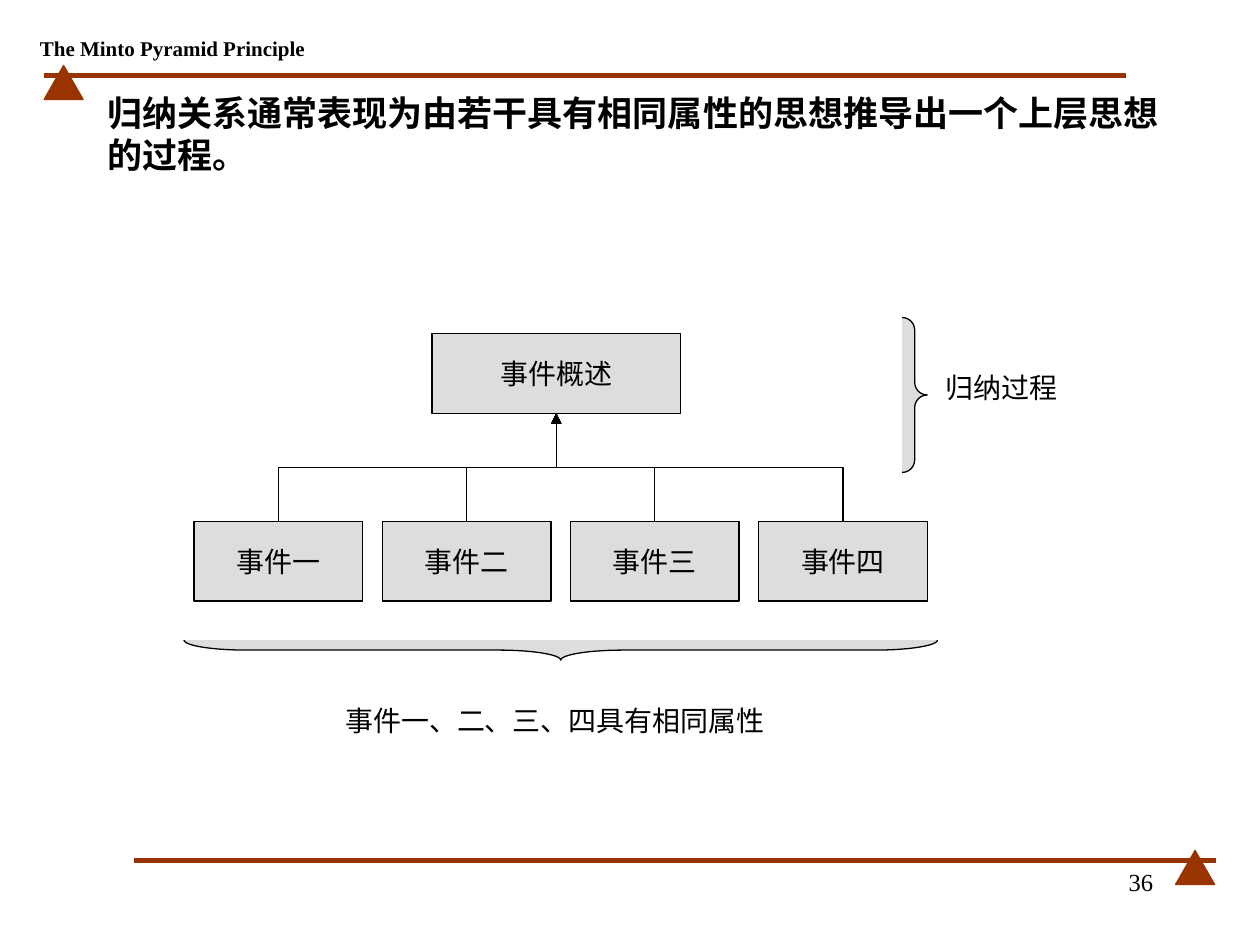
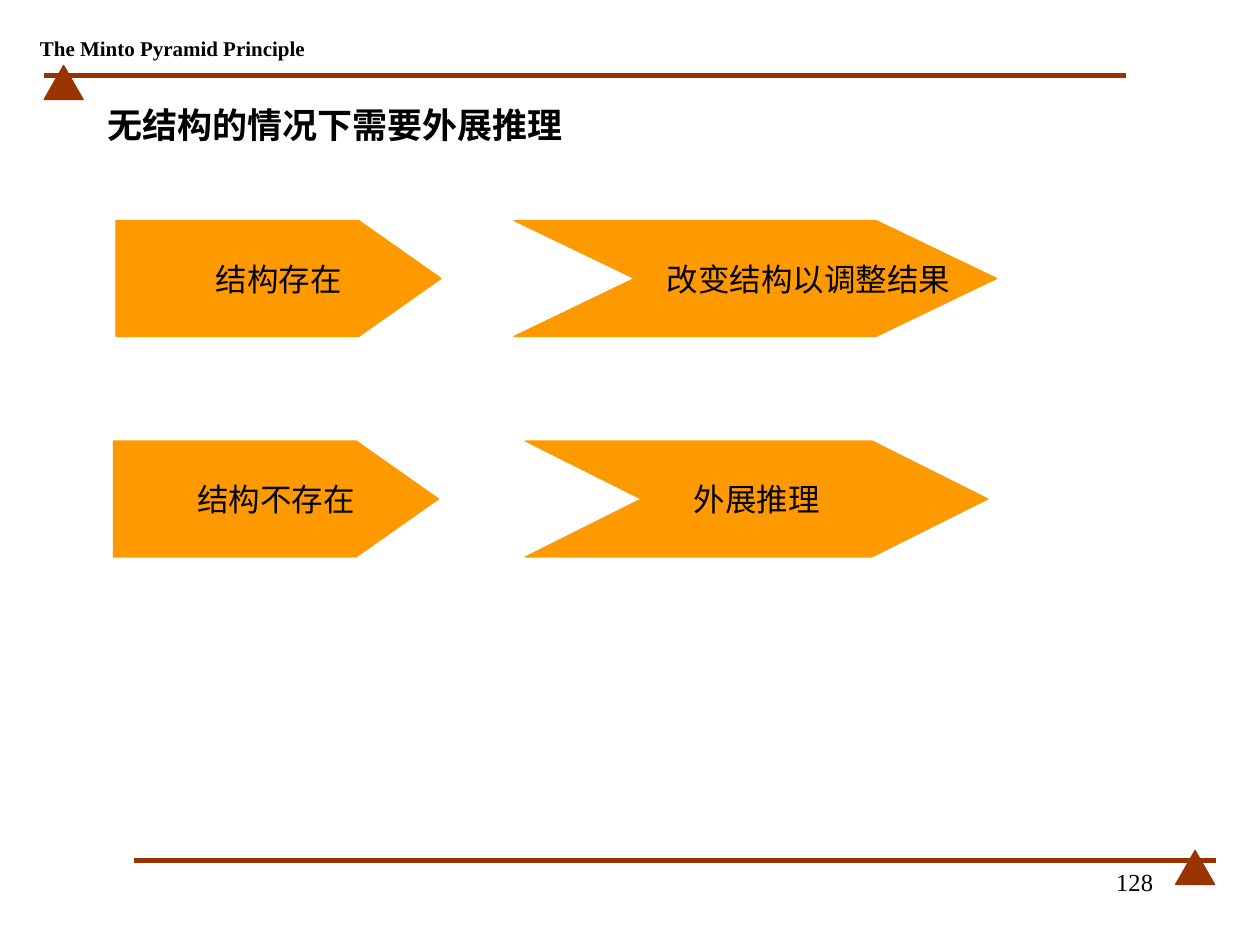
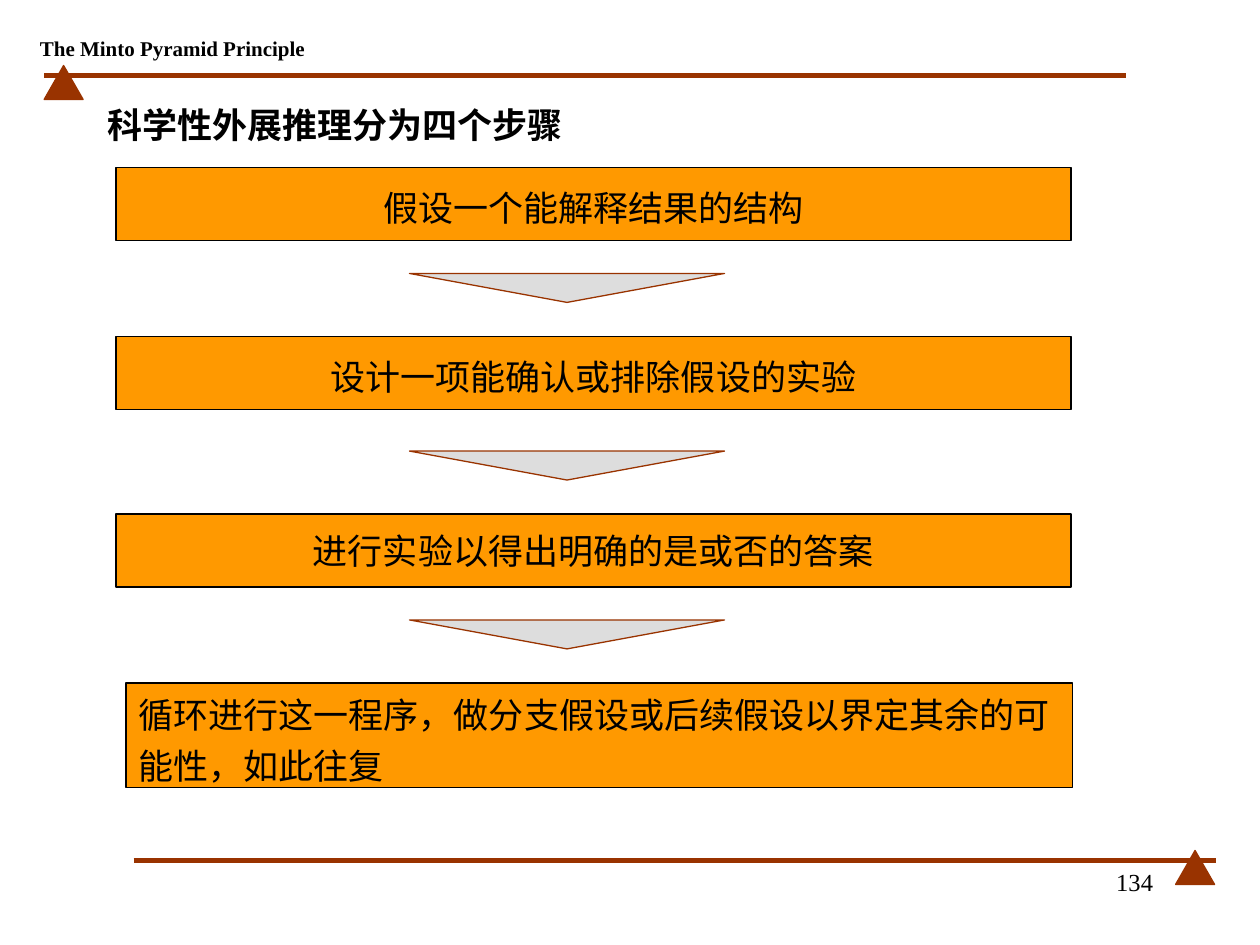
from lxml import etree
from pptx import Presentation
from pptx.dml.color import RGBColor
from pptx.enum import shapes, text
from pptx.oxml import ns
from pptx.util import Inches, Pt

RUST = RGBColor(0x99, 0x33, 0x00)
ORANGE = RGBColor(0xFF, 0x99, 0x00)
GREY = RGBColor(0xDD, 0xDD, 0xDD)
BLACK = RGBColor(0, 0, 0)
FONT = "Times New Roman"
KIND = shapes.MSO_SHAPE
CENTER, LEFT, RIGHT = text.PP_ALIGN.CENTER, text.PP_ALIGN.LEFT, text.PP_ALIGN.RIGHT
MIDDLE, TOP = text.MSO_ANCHOR.MIDDLE, text.MSO_ANCHOR.TOP

HEADER = "The Minto Pyramid Principle"
RULES = [(0.35, 8.94, 0.6), (1.06, 9.65, 6.83)]
CORNERS = [(0.35, 0.52), (9.33, 6.75)]

INDUCTION = {
    "title": "归纳关系通常表现为由若干具有相同属性的思想推导出一个上层思想的过程。",
    "page": "36",
    "summary": "事件概述",
    "events": ["事件一", "事件二", "事件三", "事件四"],
    "shared": "事件一、二、三、四具有相同属性",
    "process": "归纳过程",
}
ABDUCTION = {
    "title": "无结构的情况下需要外展推理",
    "page": "128",
    "rows": [
        (1.75, (0.92, "结构存在"), (4.08, 3.83, 1.04, 0.84, "改变结构以调整结果")),
        (3.5, (0.9, "结构不存在"), (4.17, 3.67, 1, 0, "外展推理")),
    ],
}
STEPS = {
    "title": "科学性外展推理分为四个步骤",
    "page": "134",
    "steps": [
        ((0.92, 1.33, 7.58, 0.58), 0.1, ["假设一个能解释结果的结构"]),
        ((0.92, 2.67, 7.58, 0.58), 0.1, ["设计一项能确认或排除假设的实验"]),
        ((0.92, 4.08, 7.58, 0.58), 0.05, ["进行实验以得出明确的是或否的答案"]),
        ((1, 5.42, 7.51, 0.83), 0.13,
         ["循环进行这一程序，做分支假设或后续假设以界定其余的可", "能性，如此往复"]),
    ],
}


def write(shape, lines, size, align=CENTER, bold=False, anchor=MIDDLE, wrap=False,
          left=0.1, top=0.05):
    frame = shape.text_frame
    frame.word_wrap = wrap
    frame.auto_size = text.MSO_AUTO_SIZE.NONE
    frame.vertical_anchor = anchor
    frame.margin_left, frame.margin_top = Inches(left), Inches(top)
    for i, line in enumerate(lines):
        paragraph = frame.add_paragraph() if i else frame.paragraphs[0]
        paragraph.alignment = align
        paragraph.space_before = Pt(5 if i else 0)
        run = paragraph.add_run()
        run.text = line
        run.font.name, run.font.size, run.font.bold = FONT, Pt(size), bold
        run.font.color.rgb = BLACK


def add_block(slide, kind, box, fill, line, adjust=None):
    block = slide.shapes.add_shape(kind, *map(Inches, box))
    block.shadow.inherit = False
    block.fill.solid()
    block.fill.fore_color.rgb = fill
    block.line.color.rgb = line
    block.line.width = Pt(0.75)
    if adjust is not None:
        block.adjustments[0] = adjust
    return block


def add_label(slide, box, label, size, **style):
    write(slide.shapes.add_textbox(*map(Inches, box)), [label], size, **style)


def add_line(slide, kind, ends, color, width):
    line = slide.shapes.add_connector(kind, *map(Inches, ends))
    line.line.color.rgb = color
    line.line.width = Pt(width)
    etree.SubElement(line._element.spPr, ns.qn("a:effectLst"))
    return line


def add_base(prs, content, title_top=0.67):
    slide = prs.slides.add_slide(prs.slide_layouts[5])
    for start, end, y in RULES:
        add_line(slide, shapes.MSO_CONNECTOR.STRAIGHT, (start, y, end, y), RUST, 3)
    for x, y in CORNERS:
        add_block(slide, KIND.ISOSCELES_TRIANGLE, (x, y, 0.31, 0.27), RUST, RUST)
    add_label(slide, (0.23, 0.24, 2.28, 0.28), HEADER, 12, bold=True)
    add_label(slide, (7.17, 6.83, 2.08, 0.5), content["page"], 14,
              align=RIGHT, anchor=TOP, wrap=True)
    title = slide.shapes.title
    title.left, title.top, title.width, title.height = map(
        Inches, (0.75, title_top, 8.74, 0.64))
    write(title, [content["title"]], 20, align=LEFT, bold=True, wrap=True)
    return slide


def join_upward(slide, event, summary):
    link = add_line(slide, shapes.MSO_CONNECTOR.ELBOW, (0, 0, 1, 1), BLACK, 0.75)
    link.begin_connect(event, 0)
    link.end_connect(summary, 2)
    x1, x2 = event.left + event.width // 2, summary.left + summary.width // 2
    y1, y2 = event.top, summary.top + summary.height
    link.width, link.height = y1 - y2, abs(x2 - x1)
    link.left = (x1 + x2 - link.width) // 2
    link.top = (y1 + y2 - link.height) // 2
    from_left = x1 < x2
    xfrm = link._element.spPr.xfrm
    xfrm.set("rot", str((90 if from_left else 270) * 60000))
    xfrm.set("flipH", "1" if from_left else "0")
    xfrm.set("flipV", "1")
    etree.SubElement(link.line._get_or_add_ln(), ns.qn("a:tailEnd"), type="triangle")


def build_induction(prs):
    slide = add_base(prs, INDUCTION, 0.74)
    summary = add_block(slide, KIND.RECTANGLE, (3.43, 2.65, 1.97, 0.63), GREY, BLACK)
    write(summary, [INDUCTION["summary"]], 16)
    for i, name in enumerate(INDUCTION["events"]):
        event = add_block(slide, KIND.RECTANGLE,
                          (1.54 + i * 4.48 / 3, 4.14, 1.34, 0.63), GREY, BLACK)
        write(event, [name], 16)
        join_upward(slide, event, summary)
    shared = add_block(slide, KIND.RIGHT_BRACE, (4.37, 2.17, 0.16, 5.98), GREY, BLACK, 3.12)
    shared.rotation = 90
    add_label(slide, (2.24, 5.4, 4.33, 0.63), INDUCTION["shared"], 16)
    add_block(slide, KIND.RIGHT_BRACE, (7.16, 2.52, 0.2, 1.23), GREY, BLACK, 0.5)
    add_label(slide, (7.28, 2.88, 1.34, 0.39), INDUCTION["process"], 16)


def build_abduction(prs):
    slide = add_base(prs, ABDUCTION)
    for y, (x, condition), (next_x, width, point, shift, response) in ABDUCTION["rows"]:
        case = add_block(slide, KIND.PENTAGON, (x, y, 2.58, 0.92), ORANGE, ORANGE, 0.71)
        write(case, [condition], 18, left=0.43)
        action = add_block(slide, KIND.CHEVRON, (next_x, y, width, 0.92),
                           ORANGE, ORANGE, point)
        write(action, [response], 18, left=0.1 + shift)


def build_steps(prs):
    slide = add_base(prs, STEPS)
    for i, (box, inset, lines) in enumerate(STEPS["steps"]):
        step = add_block(slide, KIND.RECTANGLE, box, ORANGE, BLACK)
        write(step, lines, 20, align=LEFT if len(lines) > 1 else CENTER,
              wrap=True, top=inset)
        if i:
            pointer = add_block(slide, KIND.ISOSCELES_TRIANGLE,
                                (3.25, box[1] - 0.5, 2.5, 0.23), GREY, RUST)
            pointer.rotation = 180


def main():
    prs = Presentation()
    prs.slide_width, prs.slide_height = Inches(10), Inches(7.5)
    build_induction(prs)
    build_abduction(prs)
    build_steps(prs)
    prs.save("out.pptx")


if __name__ == "__main__":
    main()
